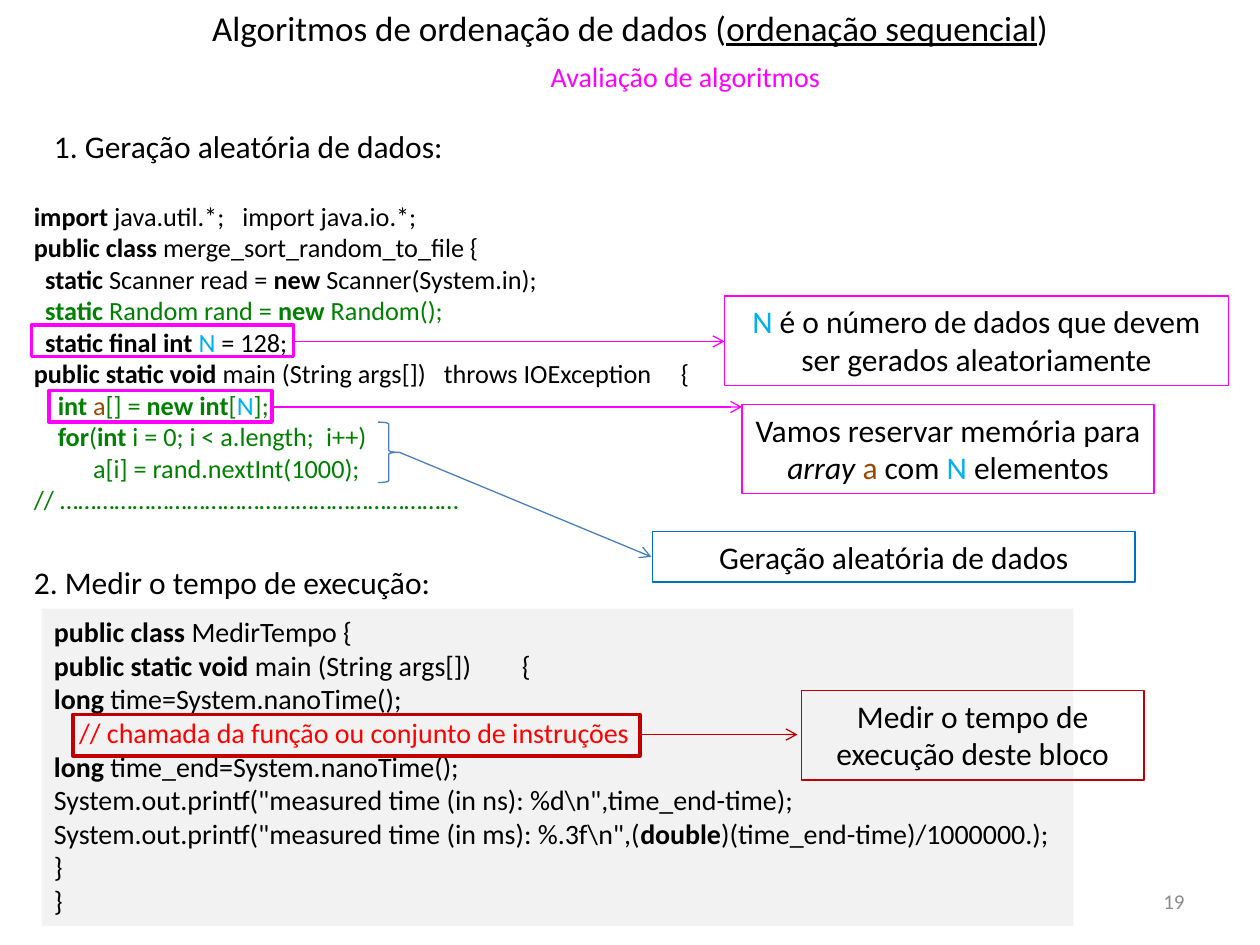
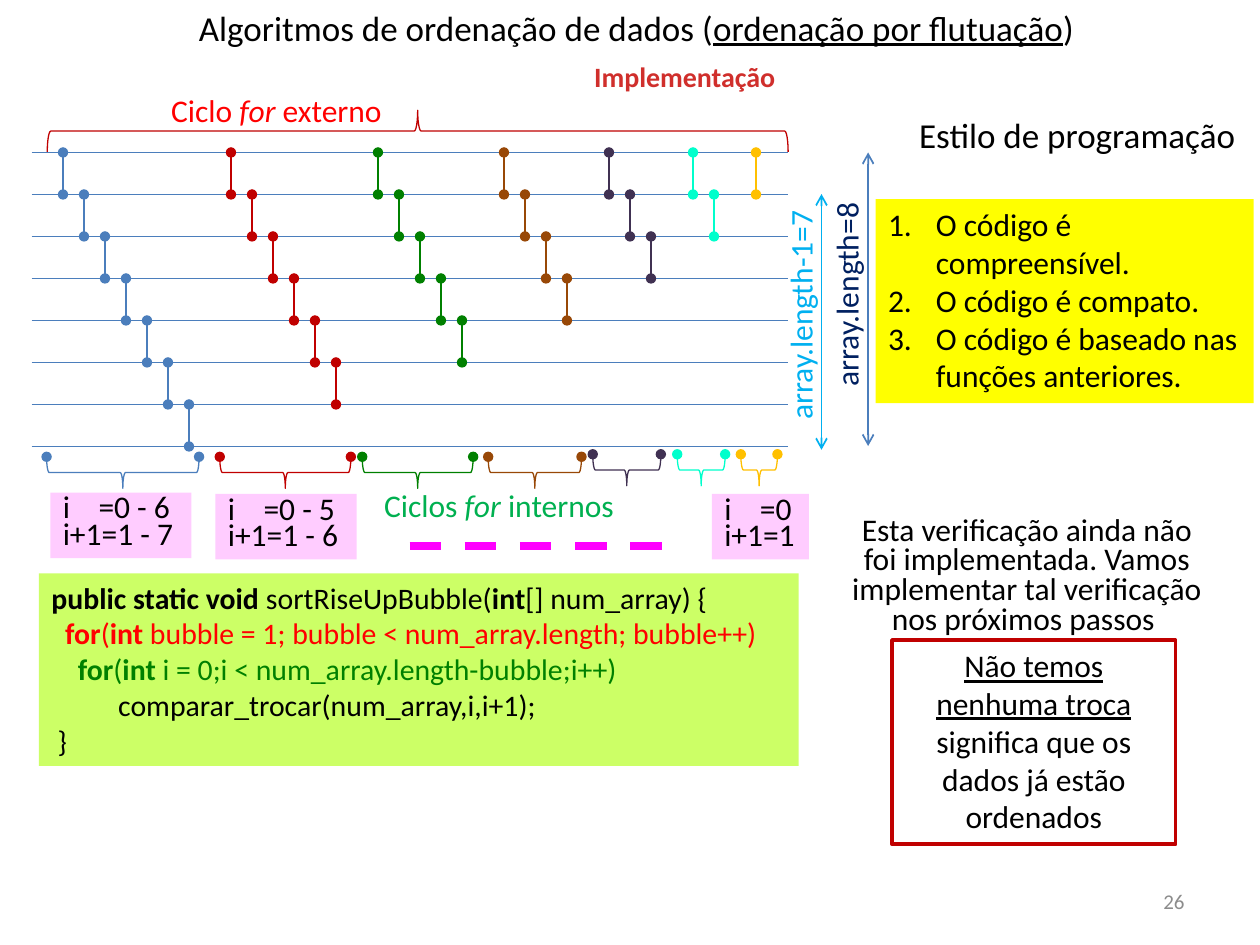
from lxml import etree
from pptx import Presentation
from pptx import util as u
from pptx.dml import color
from pptx.enum import dml, shapes, text
from pptx.oxml import ns

FONT = "Calibri"
SPACE_WIDTH = 0.226
COLORS = {
    "black": "000000", "grey": "8C8C8C", "pale": "F2F2F2", "magenta": "FF00FF",
    "pink": "FFCCFF", "green": "008000", "leaf": "00B050", "lime": "CCFF66",
    "yellow": "FFFF00", "amber": "FFC000", "brown": "984807", "red": "FF0000",
    "crimson": "D02F2C", "wine": "C00000", "sky": "00B0F0", "blue": "0070C0",
    "steel": "4B7EBC", "navy": "002060", "violet": "403152", "aqua": "00FFCC",
}
ALIGN = {"l": text.PP_ALIGN.LEFT, "c": text.PP_ALIGN.CENTER, "r": text.PP_ALIGN.RIGHT}
GAPS = {"gap2": 2, "gap3": 3, "gap4": 4, "gap5": 5, "gap8": 8}

TITLE_START = "Algoritmos de ordenação de dados ("

RANDOM_CODE = [
    (0, [("import ", "b"), "java.util.*;", (" ", "gap3"), "import java.io.*;"]),
    (0, [("public class ", "b"), "merge_sort_random_to_file {"]),
    (0.09, [("static", "b"), " Scanner read = ", ("new", "b"), " Scanner(System.in);"]),
    (0.09, [("static", "b green"), (" Random rand = ", "green"), ("new", "b green"),
            (" Random();", "green")]),
    (0.09, [("static final int ", "b"), ("N", "sky"), " = 128;"]),
    (0, [("public static void", "b"), " main (String args[])", (" ", "gap3"),
         "throws IOException", (" ", "gap5"), "{"]),
    (0.19, [("int ", "b green"), ("a", "brown"), ("[] = ", "green"), ("new int", "b green"),
            ("[", "green"), ("N", "sky"), ("];", "green")]),
    (0.19, [("for", "b green"), ("(", "green"), ("int ", "b green"),
            ("i = 0; i < a.length;", "green"), (" ", "gap2"), ("i++)", "green")]),
    (0.47, [("a[i] = rand.nextInt(1000);", "green")]),
    (0, [("// …………………………………………………………", "green")]),
]
TIMING_CODE = [
    (0, [("public class ", "b"), "MedirTempo {"]),
    (0, [("public static void", "b"), " main (String args[])", (" ", "gap8"), "{"]),
    (0, [("long", "b"), " time=System.nanoTime();"]),
    (0.2, [("// chamada da função ou conjunto de instruções", "red")]),
    (0, [("long ", "b"), "time_end=System.nanoTime();"]),
    (0, ['System.out.printf("measured time (in ns): %d\\n",time_end-time);']),
    (0, ['System.out.printf("measured time (in ms): %.3f\\n",(', ("double", "b"),
         ")(time_end-time)/1000000.);"]),
    (0, ["}"]),
    (0, ["}"]),
]
BUBBLE_CODE = [
    (0, [("public static void ", "b"), "sortRiseUpBubble(", ("int", "b"), "[] num_array) {"]),
    (0.11, [("for", "b red"), ("(", "red"), ("int", "b red"),
            (" bubble = 1; bubble < num_array.length; bubble++)", "red")]),
    (0.21, [("for", "b green"), ("(", "green"), ("int ", "b green"),
            ("i = 0;i < num_array.length-bubble;i++)", "green")]),
    (0.53, ["comparar_trocar(num_array,i,i+1);"]),
    (0.05, ["}"]),
]
CALLOUTS = [
    {"mark": (0.25, 2.58, 2.08, 0.25), "arrow": (2.33, 2.71, 5.75, 2.71),
     "note": (5.75, 2.35, 4, 0.71), "color": "magenta",
     "runs": [("N", "sky"), " é o número de dados que devem ser gerados aleatoriamente"]},
    {"mark": (0.39, 3.1, 1.77, 0.25), "arrow": (2.17, 3.23, 5.89, 3.23),
     "note": (5.89, 3.21, 3.27, 0.71), "color": "magenta",
     "runs": ["Vamos reservar memória para ", ("array ", "i"), ("a", "brown"), " com ",
              ("N", "sky"), " elementos"]},
    {"mark": (0.58, 5.67, 4.5, 0.33), "arrow": (5.08, 5.83, 6.33, 5.83),
     "note": (6.36, 5.48, 2.72, 0.71), "color": "wine",
     "runs": ["Medir o tempo de execução deste bloco"]},
]
STYLE_RULES = ["O código é compreensível.", "O código é compato.",
               "O código é baseado nas funções anteriores."]
INDEX_RANGES = [
    ((0.4, 3.91, 1.12, 0.52), "=0 - 6", "i+1=1 - 7"),
    ((1.71, 3.92, 1.12, 0.52), "=0 - 5", "i+1=1 - 6"),
    ((5.65, 3.92, 0.77, 0.52), "=0", "i+1=1"),
]
PASSES = [
    ("steel", 0.98, 3.75, 1.21), ("wine", 2.27, 3.75, 1.04), ("green", 3.32, 3.75, 0.88),
    ("brown", 4.25, 3.75, 0.74), ("violet", 4.98, 3.73, 0.54), ("aqua", 5.57, 3.73, 0.38),
    ("amber", 6.03, 3.73, 0.29),
]
LENGTHS = [
    ("array.length=8", "navy", "steel", (5.88, 2.13, 1.67, 0.4), (6.89, 1.21, 6.89, 3.54)),
    ("array.length-1=7", "sky", "sky", (5.41, 2.29, 1.88, 0.4), (6.52, 1.54, 6.52, 3.57)),
]
WIRE_COUNT, WIRE_TOP, WIRE_GAP = 8, 1.21, 1 / 3
FIRST_COMPARATOR, COMPARATOR_STEP = 0.5, 1 / 6


def rgb(name):
    return color.RGBColor.from_string(COLORS[name])


def inches(values):
    return [u.Inches(value) for value in values]


def child(parent, tag, **attributes):
    return etree.SubElement(parent, ns.qn(tag), attributes)


def set_line(shape, line_color, width, head=None, tail=None):
    shape.line.color.rgb = rgb(line_color)
    shape.line.width = u.Pt(width)
    for tag, end in (("a:headEnd", head), ("a:tailEnd", tail)):
        if end:
            child(shape.line._get_or_add_ln(), tag, type=end)


def add_run(paragraph, item, size):
    words, style = (item, "") if isinstance(item, str) else item
    marks = style.split()
    run = paragraph.add_run()
    run.text = words
    run.font.name = FONT
    run.font.size = u.Pt(size)
    run.font.bold = "b" in marks
    run.font.italic = "i" in marks
    run.font.underline = "u" in marks
    run.font.color.rgb = rgb(next((mark for mark in marks if mark in COLORS), "black"))
    for mark in marks:
        if mark in GAPS:
            extra = (GAPS[mark] - 1) * SPACE_WIDTH * size
            run._r.get_or_add_rPr().set("spc", str(round(extra * 100)))


def write(shape, paragraphs, size, align="l", wrap=True, spacing=None, numbered=False):
    frame = shape.text_frame
    frame.word_wrap = wrap
    frame.auto_size = text.MSO_AUTO_SIZE.SHAPE_TO_FIT_TEXT
    frame.vertical_anchor = text.MSO_ANCHOR.TOP
    for index, (indent, runs) in enumerate(paragraphs):
        paragraph = frame.add_paragraph() if index else frame.paragraphs[0]
        paragraph.alignment = ALIGN[align]
        if spacing:
            paragraph.line_spacing = u.Pt(spacing)
        properties = paragraph._p.get_or_add_pPr()
        properties.set("marL", str(u.Inches(indent)))
        properties.set("indent", str(-u.Inches(indent) if numbered else 0))
        if numbered:
            child(properties, "a:buFont", typeface="+mj-lt")
            child(properties, "a:buAutoNum", type="arabicPeriod")
        for item in runs:
            add_run(paragraph, item, size)


def add_text(slide, box, paragraphs, size, rotation=0, **options):
    shape = slide.shapes.add_textbox(*inches(box))
    shape.rotation = rotation
    write(shape, paragraphs, size, **options)
    return shape


def add_shape(slide, kind, box, fill=None, line=None, width=0.75, ends=None, rotation=0):
    shape = slide.shapes.add_shape(kind, *inches(box))
    shape.shadow.inherit = False
    shape.rotation = rotation
    if fill:
        shape.fill.solid()
        shape.fill.fore_color.rgb = rgb(fill)
    else:
        shape.fill.background()
    if line:
        set_line(shape, line, width, ends, ends)
    else:
        shape.line.fill.background()
    return shape


def add_box(slide, box, **options):
    return add_shape(slide, shapes.MSO_SHAPE.RECTANGLE, box, **options)


def add_line(slide, ends, line_color, width=0.75, head=None, tail=None):
    line = slide.shapes.add_connector(shapes.MSO_CONNECTOR.STRAIGHT, *inches(ends))
    set_line(line, line_color, width, head, tail)
    child(line._element.spPr, "a:effectLst")
    return line


def add_slide(presentation, number, title_box, topic, subtitle_box, subtitle):
    slide = presentation.slides.add_slide(presentation.slide_layouts[6])
    footer = add_text(slide, (7.17, 6.95, 2.33, 0.4), [(0, [(number, "grey")])], 12, align="r")
    footer.text_frame.auto_size = text.MSO_AUTO_SIZE.NONE
    footer.text_frame.vertical_anchor = text.MSO_ANCHOR.MIDDLE
    add_text(slide, title_box, [(0, [TITLE_START, (topic, "u"), ")"])], 20, align="c")
    add_text(slide, subtitle_box, [(0, [subtitle])], 16, align="c", wrap=False)
    return slide


def build_evaluation(presentation):
    slide = add_slide(presentation, "19", (0, 0, 10, 0.44), "ordenação sequencial",
                      (4.26, 0.42, 2.36, 0.37), ("Avaliação de algoritmos", "magenta"))
    add_text(slide, (0.33, 0.96, 3.38, 0.4), [(0, ["1. Geração aleatória de dados:"])], 18,
             wrap=False)
    add_text(slide, (0.17, 1.54, 5.75, 2.63), RANDOM_CODE, 15)
    add_text(slide, (0.17, 4.42, 3.39, 0.4), [(0, ["2. Medir o tempo de execução:"])], 18,
             wrap=False)
    timing = add_box(slide, (0.33, 4.83, 8.19, 2.52), fill="pale")
    write(timing, TIMING_CODE, 16, wrap=False)

    for callout in CALLOUTS:
        add_box(slide, callout["mark"], line=callout["color"], width=2)
        add_line(slide, callout["arrow"], callout["color"], tail="arrow")
        note = add_box(slide, callout["note"], line=callout["color"])
        write(note, [(0, callout["runs"])], 18, align="c")

    add_shape(slide, shapes.MSO_SHAPE.RIGHT_BRACE, (3, 3.35, 0.17, 0.48), line="steel")
    add_line(slide, (3.17, 3.59, 5.17, 4.42), "steel", tail="arrow")
    note = add_box(slide, (5.18, 4.22, 3.83, 0.4), line="blue")
    write(note, [(0, ["Geração aleatória de dados"])], 18, align="c")


def draw_sorting_network(slide):
    wires = [WIRE_TOP + WIRE_GAP * row for row in range(WIRE_COUNT)]
    for y in wires:
        add_line(slide, (0.25, y, 6.25, y), "steel")
    x = FIRST_COMPARATOR
    for index, (pass_color, center_x, center_y, span) in enumerate(PASSES):
        for top, bottom in zip(wires, wires[1:WIRE_COUNT - index]):
            add_line(slide, (x, top, x, bottom), pass_color, head="oval", tail="oval")
            x += COMPARATOR_STEP
        x += COMPARATOR_STEP
        add_shape(slide, shapes.MSO_SHAPE.LEFT_BRACE,
                  (center_x - 0.13, center_y - span / 2, 0.25, span),
                  line=pass_color, ends="oval", rotation=270)
    add_shape(slide, shapes.MSO_SHAPE.RIGHT_BRACE, (3.15, -1.9, 0.33, 5.88),
              line="wine", rotation=270)


def build_implementation(presentation):
    slide = add_slide(presentation, "26", (1.17, 0, 7.76, 0.44), "ordenação por flutuação",
                      (4.61, 0.42, 1.65, 0.37), ("Implementação", "b crimson"))
    draw_sorting_network(slide)
    for box, label, ending, hue in [((1.26, 0.67, 1.89, 0.4), "Ciclo ", " externo", "red"),
                                    ((2.95, 3.81, 2.05, 0.4), "Ciclos ", " internos", "leaf")]:
        runs = [(label, hue), ("for", "i " + hue), (ending, hue)]
        add_text(slide, box, [(0, runs)], 18, wrap=False)

    code = add_box(slide, (0.31, 4.55, 6.03, 1.53), fill="lime")
    write(code, BUBBLE_CODE, 17, wrap=False)
    add_text(slide, (7.18, 0.85, 2.74, 0.44), [(0, ["Estilo de programação"])], 20,
             align="c", wrap=False)
    rules = add_box(slide, (6.95, 1.58, 3, 1.62), fill="yellow")
    write(rules, [(0.38, [rule]) for rule in STYLE_RULES], 18, numbered=True)

    sorted_note = add_box(slide, (7.08, 5.08, 2.25, 1.62), line="wine", width=2.25)
    write(sorted_note, [(0, [("Não temos nenhuma troca", "u"),
                             " significa que os dados já estão ordenados"])], 18, align="c")
    add_text(slide, (6.65, 4.06, 3, 1.06),
             [(0, ["Esta verificação ainda não foi implementada. Vamos implementar tal "
                   "verificação nos próximos passos "])], 18, align="c", spacing=17)

    for label, label_color, arrow_color, box, ends in LENGTHS:
        add_line(slide, ends, arrow_color, 1, "arrow", "arrow")
        add_text(slide, box, [(0, [(label, label_color)])], 18, rotation=270, wrap=False)
    for box, index_range, next_range in INDEX_RANGES:
        label = add_box(slide, box, fill="pink")
        write(label, [(0, ["i", (" ", "gap4"), index_range]), (0, [next_range])], 18,
              wrap=False, spacing=15)
    skipped = add_line(slide, (3.25, 4.33, 5.37, 4.33), "magenta", 4.5)
    skipped.line.dash_style = dml.MSO_LINE.DASH


def main():
    presentation = Presentation()
    presentation.slide_width, presentation.slide_height = inches((10, 7.5))
    build_evaluation(presentation)
    build_implementation(presentation)
    presentation.save("out.pptx")


if __name__ == "__main__":
    main()
